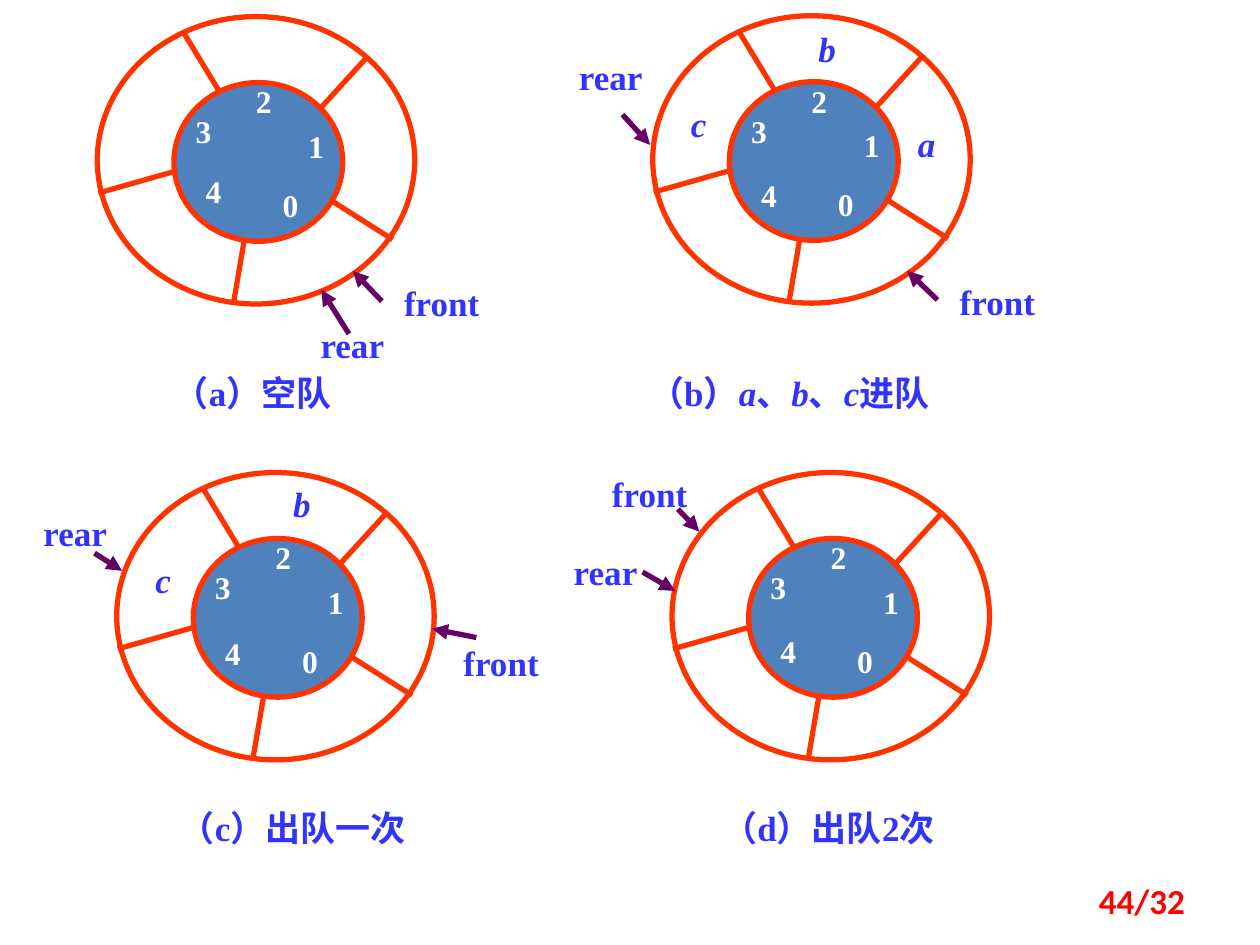
import pptx
import pptx.util
import pptx.dml.color
import pptx.enum.shapes
import pptx.enum.text
import pptx.oxml
import pptx.oxml.ns

Pt = pptx.util.Pt
ALIGN = pptx.enum.text.PP_ALIGN
ANCHOR = pptx.enum.text.MSO_ANCHOR

ORANGE, PURPLE, BLUE = "FF3300", "660066", "3333FF"
SERIF = "Times New Roman"

RING_SIZE = (181.4, 164.2)
HUB = (43.8, 37.7, 96.5, 90.7)
SPOKES = [
    (134.8, 105.8, 168.8, 127.4),
    (128.2, 51.6, 154.3, 23),
    (49.5, 9.4, 70, 43.2),
    (83.9, 128.2, 78, 162.7),
    (0.6, 100.8, 43.7, 88.6),
]
DIGITS = [(99.2, 96.6), (114, 63.2), (84, 37.6), (49.5, 54.8)]
FOUR_LEFT = 55.2

QUEUES = [
    dict(origin=(55.6, 9.5), four_top=89,
         labels=[("front", 223.9, 160.6), ("rear", 172.8, 185)],
         items=[],
         arrows=[(218.2, 172.1, 201.6, 154.8), (199.4, 190.8, 183.6, 165.6)],
         caption=["（a）空队"], caption_box=(76.3, 208.8, 136.1, 31.7)),
    dict(origin=(373, 9), four_top=91.4,
         labels=[("front", 541.4, 160.4), ("rear", 320.4, 31.7)],
         items=[("a", 518.4, 69.8), ("b", 461.5, 15.8), ("c", 388.1, 58.3)],
         arrows=[(535.7, 171.4, 518.4, 154.8), (355.7, 65.5, 371.5, 82.8)],
         caption=["（b）", "a", "、", "b", "、", "c", "进队"],
         caption_box=(326.2, 208.8, 249.8, 31.7)),
    dict(origin=(66.7, 270), four_top=92.2,
         labels=[("front", 257.8, 366.5), ("rear", 14.4, 292.3)],
         items=[("b", 161.3, 275.8), ("c", 82.1, 319)],
         arrows=[(272.2, 364.3, 247, 359.3), (54, 316.1, 69.8, 326.2)],
         caption=["（c）出队一次"], caption_box=(42.5, 457.2, 249.8, 31.7)),
    dict(origin=(384, 270), four_top=90.9,
         labels=[("front", 342.7, 270), ("rear", 317.5, 314.6)],
         items=[],
         arrows=[(367.2, 326.9, 385.9, 337.7), (387.4, 290.9, 399.6, 303.8)],
         caption=["（d）出队2次"], caption_box=(348.5, 457.2, 249.8, 31.7)),
]


def rgb(value):
    return pptx.dml.color.RGBColor.from_string(value)


def add_ellipse(shapes, box, fill=None):
    sp = shapes.add_shape(pptx.enum.shapes.MSO_SHAPE.OVAL, *map(Pt, box))
    sp.shadow.inherit = False
    if fill:
        sp.fill.solid()
        sp.fill.fore_color.rgb = rgb(fill)
    else:
        sp.fill.background()
    sp.line.color.rgb = rgb(ORANGE)
    sp.line.width = Pt(3)


def add_line(shapes, ends, color, arrow=False):
    kind = pptx.enum.shapes.MSO_CONNECTOR.STRAIGHT
    cn = shapes.add_connector(kind, *map(Pt, ends))
    cn.line.color.rgb = rgb(color)
    cn.line.width = Pt(3)
    if arrow:
        ln = cn.line._get_or_add_ln()
        ln.append(pptx.oxml.parse_xml(
            '<a:tailEnd %s type="triangle"/>' % pptx.oxml.ns.nsdecls("a")))
    cn._element.spPr.append(pptx.oxml.parse_xml(
        "<a:effectLst %s/>" % pptx.oxml.ns.nsdecls("a")))


def add_text(shapes, box, runs, size=20, color=BLUE, font=SERIF,
             align=ALIGN.CENTER, anchor=ANCHOR.TOP, inset=False):
    tf = shapes.add_textbox(*map(Pt, box)).text_frame
    tf.word_wrap = True
    tf.vertical_anchor = anchor
    if not inset:
        tf.margin_left = tf.margin_right = tf.margin_top = tf.margin_bottom = 0
    p = tf.paragraphs[0]
    p.alignment = align
    for text, italic in runs:
        r = p.add_run()
        r.text = text
        r.font.name = font
        r.font.size = Pt(size)
        r.font.bold = True
        r.font.italic = italic
        r.font.color.rgb = rgb(color)


def add_queue(slide, queue):
    shapes = slide.shapes.add_group_shape().shapes
    x, y = queue["origin"]
    left, top, width, height = HUB
    add_ellipse(shapes, (x + left, y + top, width, height), "4F81BD")
    add_ellipse(shapes, (x, y, *RING_SIZE))
    for x1, y1, x2, y2 in SPOKES:
        add_line(shapes, (x + x1, y + y1, x + x2, y + y2), ORANGE)
    for digit, (dx, dy) in enumerate(DIGITS + [(FOUR_LEFT, queue["four_top"])]):
        add_text(shapes, (x + dx, y + dy, 22.3, 21.6),
                 [(str(digit), False)], 18, "FFFFFF")
    for ends in queue["arrows"]:
        add_line(shapes, ends, PURPLE, arrow=True)
    for text, left, top in queue["labels"]:
        add_text(shapes, (left, top, 57, 23.8), [(text, False)])
    for text, left, top in queue["items"]:
        add_text(shapes, (left, top, 22.3, 23.8), [(text, True)])
    runs = [(text, text in ("a", "b", "c")) for text in queue["caption"]]
    add_text(shapes, queue["caption_box"], runs, inset=True)


prs = pptx.Presentation()
prs.slide_width, prs.slide_height = Pt(720), Pt(540)
s = prs.slides.add_slide(prs.slide_layouts[6])
for queue in QUEUES:
    add_queue(s, queue)
add_text(s.shapes, (516.2, 500.4, 168, 28.8), [("44/32", False)], color="FF0000",
         font="Calibri", align=ALIGN.RIGHT, anchor=ANCHOR.MIDDLE, inset=True)
prs.save("out.pptx")
